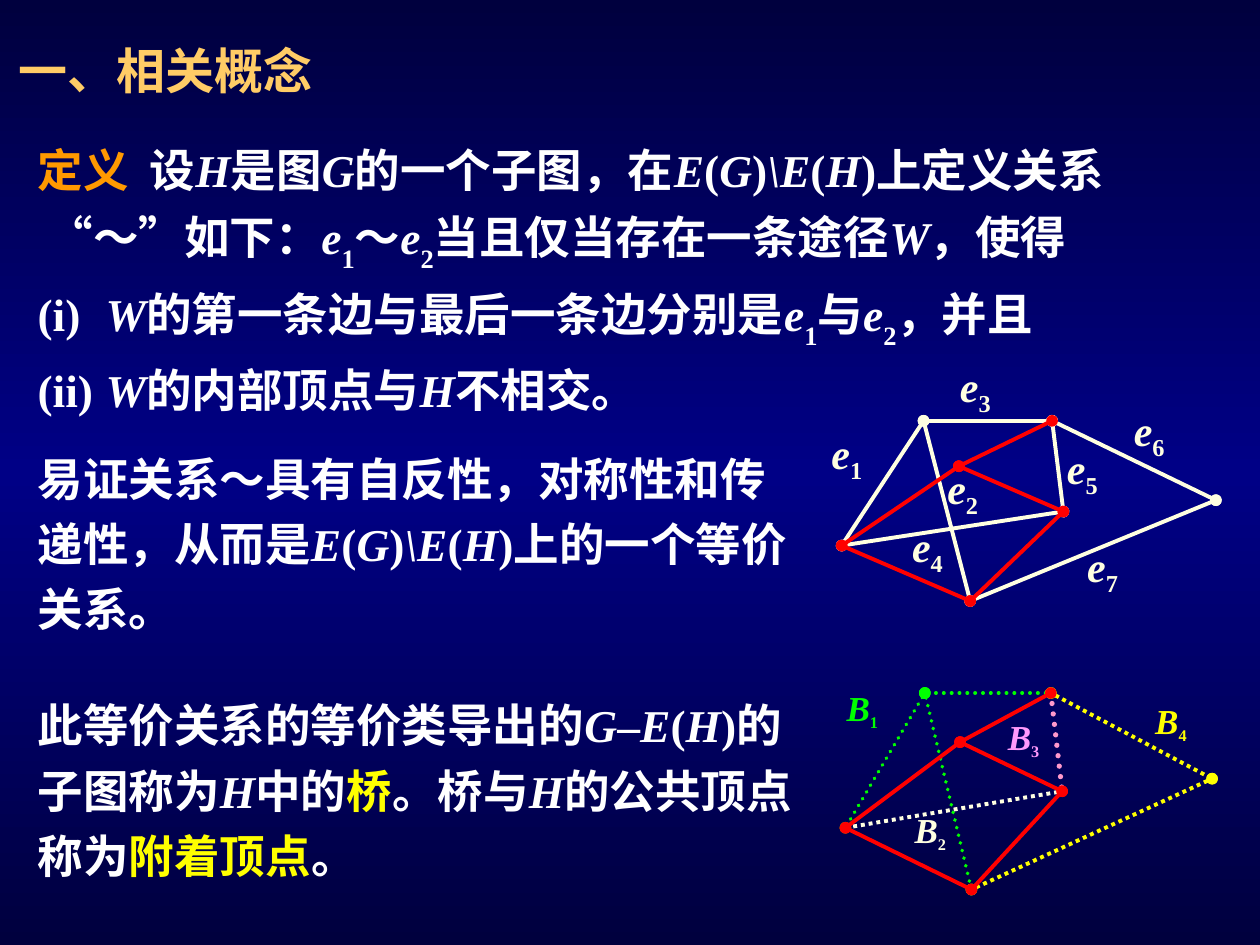
from copy import deepcopy
from dataclasses import dataclass

from lxml import etree
from pptx import Presentation
from pptx import util as u
from pptx.dml.color import RGBColor
from pptx.enum import dml, shapes, text
from pptx.oxml.ns import qn

PX = 9144  # EMU per px, at 100 px to the inch

NIGHT = RGBColor(0x00, 0x00, 0x3E)
NAVY = RGBColor(0x00, 0x00, 0x86)
GOLD = RGBColor(0xFF, 0xCC, 0x66)
ORANGE = RGBColor(0xFF, 0x99, 0x00)
WHITE = RGBColor(0xFF, 0xFF, 0xFF)
CREAM = RGBColor(0xFF, 0xFF, 0xE1)
YELLOW = RGBColor(0xFF, 0xFF, 0x00)
RED = RGBColor(0xFF, 0x00, 0x00)
GREEN = RGBColor(0x00, 0xFF, 0x00)
PINK = RGBColor(0xFF, 0x99, 0xCC)
ORCHID = RGBColor(0xFF, 0x99, 0xFD)


@dataclass
class EdgeStyle:
    color: RGBColor
    width: float = 2.25
    dotted: bool = False
    round_cap: bool = False
    ends: bool = True


SUBGRAPH = EdgeStyle(RED)
PLAIN = EdgeStyle(CREAM)
BRIDGE_1 = EdgeStyle(GREEN, dotted=True, round_cap=True)
BRIDGE_2 = EdgeStyle(CREAM, dotted=True, ends=False)
BRIDGE_3 = EdgeStyle(PINK, 3, dotted=True, round_cap=True, ends=False)
BRIDGE_4 = EdgeStyle(YELLOW, dotted=True)

SUBGRAPH_EDGES = [("centre", "left"), ("centre", "right"), ("centre", "top right"),
                  ("left", "bottom"), ("right", "bottom")]
OTHER_EDGES = {
    "e1": ("top left", "left"),
    "e2": ("top left", "bottom"),
    "e3": ("top right", "top left"),
    "e4": ("left", "right"),
    "e5": ("top right", "right"),
    "e6": ("top right", "far"),
    "e7": ("far", "bottom"),
}


def paint_background(page):
    fill = page.background.fill
    fill.gradient()
    fill.gradient_angle = 90
    stop_list = page._element.find(".//" + qn("a:gsLst"))
    stop_list.append(deepcopy(stop_list[0]))
    for stop, place, color in zip(fill.gradient_stops, (0, 0.5, 1), (NIGHT, NAVY, NIGHT)):
        stop.position = place
        stop.color.rgb = color


def add_box(parent, box, wrap=True):
    left, top, width, height = (n * PX for n in box)
    frame = parent.shapes.add_textbox(left, top, width, height).text_frame
    frame.word_wrap = wrap
    frame.auto_size = text.MSO_AUTO_SIZE.NONE
    return frame


def style_para(para, font, size):
    para.font.name = font
    para.font.size = u.Pt(size)
    para.font.bold = True


def add_span(para, words, color, italic=False, baseline=0):
    span = para.add_run()
    span.text = words
    span.font.color.rgb = color
    if italic:
        span.font.italic = True
    if baseline:
        span._r.get_or_add_rPr().set("baseline", str(baseline * 1000))
    return span


def write_marked(para, marked, accent):
    """Write text where *x* is italic, _x_ is subscript, {x} is accented and | breaks the line."""
    italic = low = accented = False
    words = ""
    for mark in marked + "|":
        if mark not in "*_{}|":
            words += mark
            continue
        if words:
            add_span(para, words, accent if accented else WHITE, italic, -30 if low else 0)
            words = ""
        if mark == "*":
            italic = not italic
        elif mark == "_":
            low = not low
        elif mark in "{}":
            accented = mark == "{"
        else:
            para.add_line_break()
    para._p.remove(para._p.findall(qn("a:br"))[-1])


def add_title(page, box, words):
    para = add_box(page, box, wrap=False).paragraphs[0]
    style_para(para, "Arial", 28)
    add_span(para, words, GOLD)


def add_passage(page, box, lines, accent=YELLOW):
    """Each line is marked text with the place of its tab stop, or None."""
    frame = add_box(page, box)
    for index, (marked, tab) in enumerate(lines):
        para = frame.add_paragraph() if index else frame.paragraphs[0]
        if tab:
            tabs = etree.SubElement(para._p.get_or_add_pPr(), qn("a:tabLst"))
            etree.SubElement(tabs, qn("a:tab"), pos=str(tab * PX), algn="l")
        para.line_spacing = 1.2
        style_para(para, "Times New Roman", 26)
        write_marked(para, marked, accent)


def add_edge(group, start, end, style):
    edge = group.shapes.add_connector(shapes.MSO_CONNECTOR.STRAIGHT, *start, *end)
    edge.line.color.rgb = style.color
    edge.line.width = u.Pt(style.width)
    if style.dotted:
        edge.line.dash_style = dml.MSO_LINE.ROUND_DOT
    line = edge.line._get_or_add_ln()
    if style.round_cap:
        line.set("cap", "rnd")
    if style.ends:
        for tag in ("a:headEnd", "a:tailEnd"):
            etree.SubElement(line, qn(tag), type="oval")
    etree.SubElement(edge._element.spPr, qn("a:effectLst"))


def add_graph(page, origin, vertices, styles, labels, label_size, sizes):
    """Labels are name: (left, top, color); sizes are those of letter and index."""
    group = page.shapes.add_group_shape()
    x, y = origin
    spots = {name: ((x + dx) * PX, (y + dy) * PX) for name, (dx, dy) in vertices.items()}
    for name, (start, end) in OTHER_EDGES.items():
        add_edge(group, spots[start], spots[end], styles[name])
    for start, end in SUBGRAPH_EDGES:
        add_edge(group, spots[start], spots[end], SUBGRAPH)
    for (letter, index), (dx, dy, color) in labels.items():
        para = add_box(group, (x + dx, y + dy, *label_size)).paragraphs[0]
        style_para(para, "Times New Roman", sizes[0])
        add_span(para, letter, color, italic=True)
        add_span(para, index, color, baseline=-25).font.size = u.Pt(sizes[1])


def build_page(page):
    paint_background(page)
    add_title(page, (5, 27, 286, 57), "一、相关概念")
    add_passage(page, (20, 99, 953, 237), [
        ("{定义}\t设*H*是图*G*的一个子图，在*E*(*G*)*\\E*(*H*)上定义关系| “～”如下："
         "*e*_1_～*e*_2_当且仅当存在一条途径*W*，使得", 89),
        ("(i)\t*W*的第一条边与最后一条边分别是*e*_1_与*e*_2_，并且", 54),
        ("(ii)\t*W*的内部顶点与*H*不相交。", 54),
    ], ORANGE)
    add_passage(page, (20, 344, 630, 166), [
        ("易证关系～具有自反性，对称性和传递性，从而是*E*(*G*)*\\E*(*H*)上的一个等价关系。", None)])
    add_passage(page, (20, 540, 622, 166), [
        ("此等价关系的等价类导出的*G*–*E*(*H*)的子图称为*H*中的{桥}。"
         "桥与*H*的公共顶点称为{附着顶点}。", None)])

    add_graph(page, (650, 281), {
        "left": (18, 152), "top left": (83, 53), "top right": (185, 53), "centre": (111, 89),
        "right": (194, 125), "bottom": (120, 196), "far": (315, 116),
    }, dict.fromkeys(OTHER_EDGES, PLAIN), {
        "e1": (0, 53, CREAM), "e2": (92, 81, CREAM), "e3": (102, 0, CREAM),
        "e4": (64, 127, CREAM), "e5": (187, 65, CREAM), "e6": (240, 35, CREAM),
        "e7": (203, 143, CREAM),
    }, (67, 56), (24, 24))

    add_graph(page, (662, 540), {
        "left": (9, 117), "top left": (72, 10), "top right": (172, 10), "centre": (100, 49),
        "right": (181, 88), "bottom": (109, 166), "far": (300, 78),
    }, {
        "e1": BRIDGE_1, "e2": BRIDGE_1, "e3": BRIDGE_1, "e4": BRIDGE_2,
        "e5": BRIDGE_3, "e6": BRIDGE_4, "e7": BRIDGE_4,
    }, {
        "B1": (0, 0, GREEN), "B2": (54, 97, CREAM), "B3": (128, 23, ORCHID),
        "B4": (245, 10, YELLOW),
    }, (65, 46), (20, 16))


def main():
    deck = Presentation()
    deck.slide_width = 1000 * PX
    deck.slide_height = 750 * PX
    build_page(deck.slides.add_slide(deck.slide_layouts[6]))
    deck.save("out.pptx")


if __name__ == "__main__":
    main()
